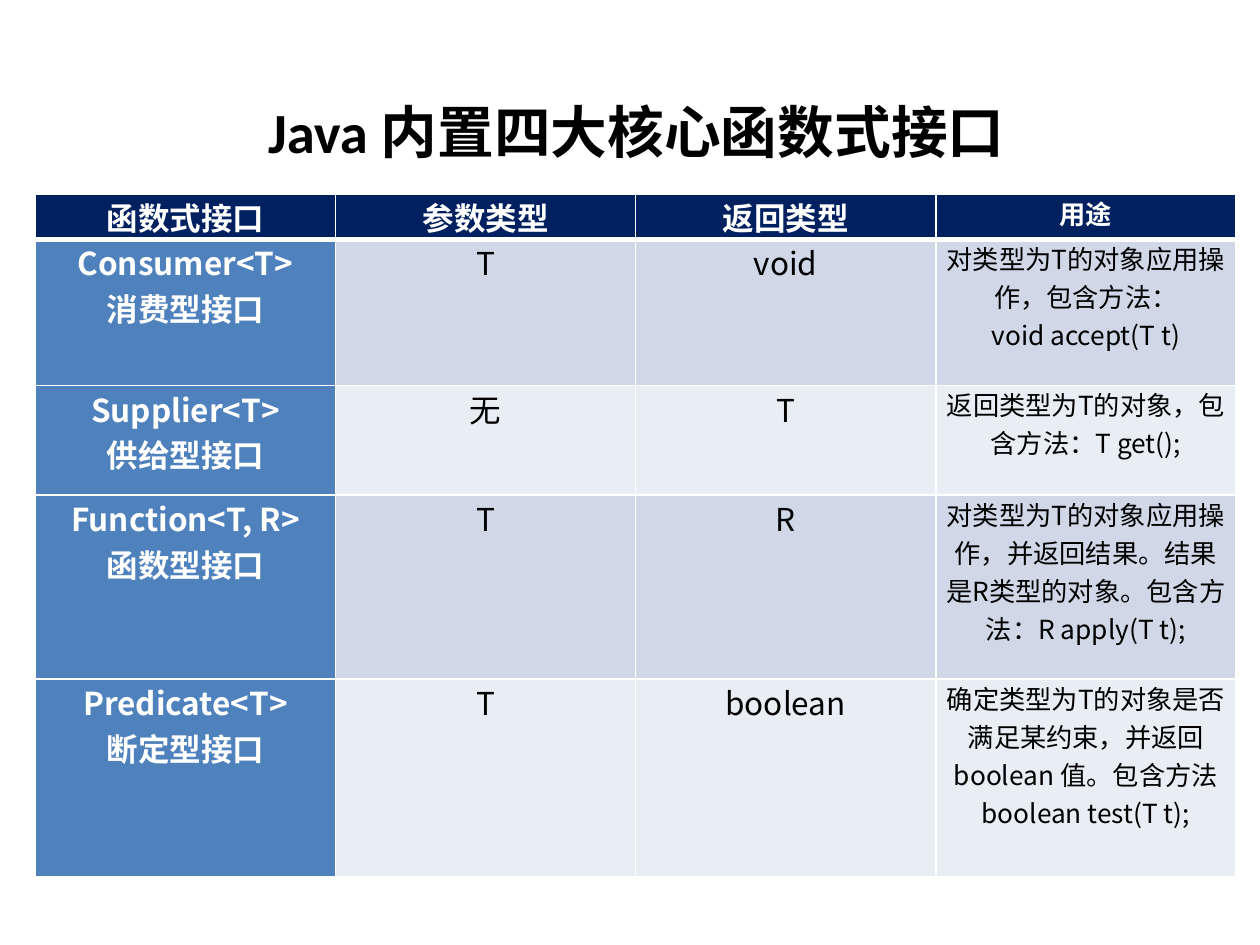
from pptx import Presentation
from pptx.dml.color import RGBColor
from pptx.enum.text import MSO_ANCHOR, PP_ALIGN
from pptx.oxml.ns import qn
from pptx.util import Inches, Pt
from lxml.etree import SubElement

CJK_FONT = "Noto Sans CJK SC"
WHITE, BLACK = "FFFFFF", "000000"
NAVY, BLUE = "002060", "4F81BD"
BANDS = ("D0D8E8", "E9EDF4")
ROW_HEIGHTS = (0.36, 1.16, 0.87, 1.46, 1.57)
ROWS = (
    ("函数式接口", "参数类型", "返回类型", "用途"),
    ("Consumer<T>\n消费型接口", "T", "void",
     "对类型为T的对象应用操作，包含方法：\nvoid accept(T t)"),
    ("Supplier<T>\n供给型接口", "无", "T",
     "返回类型为T的对象，包含方法：T get();"),
    ("Function<T, R>\n函数型接口", "T", "R",
     "对类型为T的对象应用操作，并返回结果。结果是R类型的对象。包含方法：R apply(T t);"),
    ("Predicate<T>\n断定型接口", "T", "boolean",
     "确定类型为T的对象是否满足某约束，并返回 boolean 值。包含方法\nboolean test(T t);"),
)


def color(hex_code):
    return RGBColor.from_string(hex_code)


def write(frame, text, size, ink, bold, latin_font=CJK_FONT):
    frame.word_wrap = True
    frame.text = text
    for para in frame.paragraphs:
        para.alignment = PP_ALIGN.CENTER
        font = para.font
        font.size, font.bold, font.name = Pt(size), bold, latin_font
        font.color.rgb = color(ink)
        properties = para._p.pPr.find(qn("a:defRPr"))
        SubElement(properties, qn("a:ea"), typeface=CJK_FONT)


def set_borders(cell, widths):
    """Draw white borders; widths are points for left, right, top, bottom."""
    properties = cell._tc.get_or_add_tcPr()
    for position, (side, width) in enumerate(zip("LRTB", widths)):
        line = properties.makeelement(qn(f"a:ln{side}"), {"w": str(Pt(width))})
        fill = SubElement(line, qn("a:solidFill"))
        SubElement(fill, qn("a:srgbClr"), val=WHITE)
        properties.insert(position, line)


def add_title(page, left, top, width, height):
    box = page.shapes.add_textbox(*map(Inches, (left, top, width, height)))
    frame = box.text_frame
    frame.vertical_anchor = MSO_ANCHOR.MIDDLE
    write(frame, "Java 内置四大核心函数式接口", 32.4, BLACK, True, "Calibri")


def add_interface_table(page, left, top, width):
    columns = len(ROWS[0])
    table = page.shapes.add_table(
        len(ROWS), columns,
        *map(Inches, (left, top, width, sum(ROW_HEIGHTS)))).table
    for column in table.columns:
        column.width = Inches(width / columns)
    for r, (texts, height) in enumerate(zip(ROWS, ROW_HEIGHTS)):
        table.rows[r].height = Inches(height)
        for c, text in enumerate(texts):
            cell = table.cell(r, c)
            cell.margin_left = cell.margin_right = Inches(0.07)
            cell.margin_top = cell.margin_bottom = 0
            heading = r == 0 or c == 0
            background = NAVY if r == 0 else BLUE if c == 0 else BANDS[(r - 1) % 2]
            cell.fill.solid()
            cell.fill.fore_color.rgb = color(background)
            set_borders(cell, (1, 1, 3 if r == 1 else 1, 3 if r == 0 else 1))
            write(cell.text_frame, text, 15 if c == columns - 1 else 18,
                  WHITE if heading else BLACK, heading)


def main():
    deck = Presentation()
    deck.slide_width, deck.slide_height = Inches(10), Inches(7.5)
    page = deck.slides.add_slide(deck.slide_layouts[6])
    add_title(page, 1.95, 0.6, 6.2, 0.87)
    add_interface_table(page, 0.28, 1.54, 9.53)
    deck.save("out.pptx")


if __name__ == "__main__":
    main()
